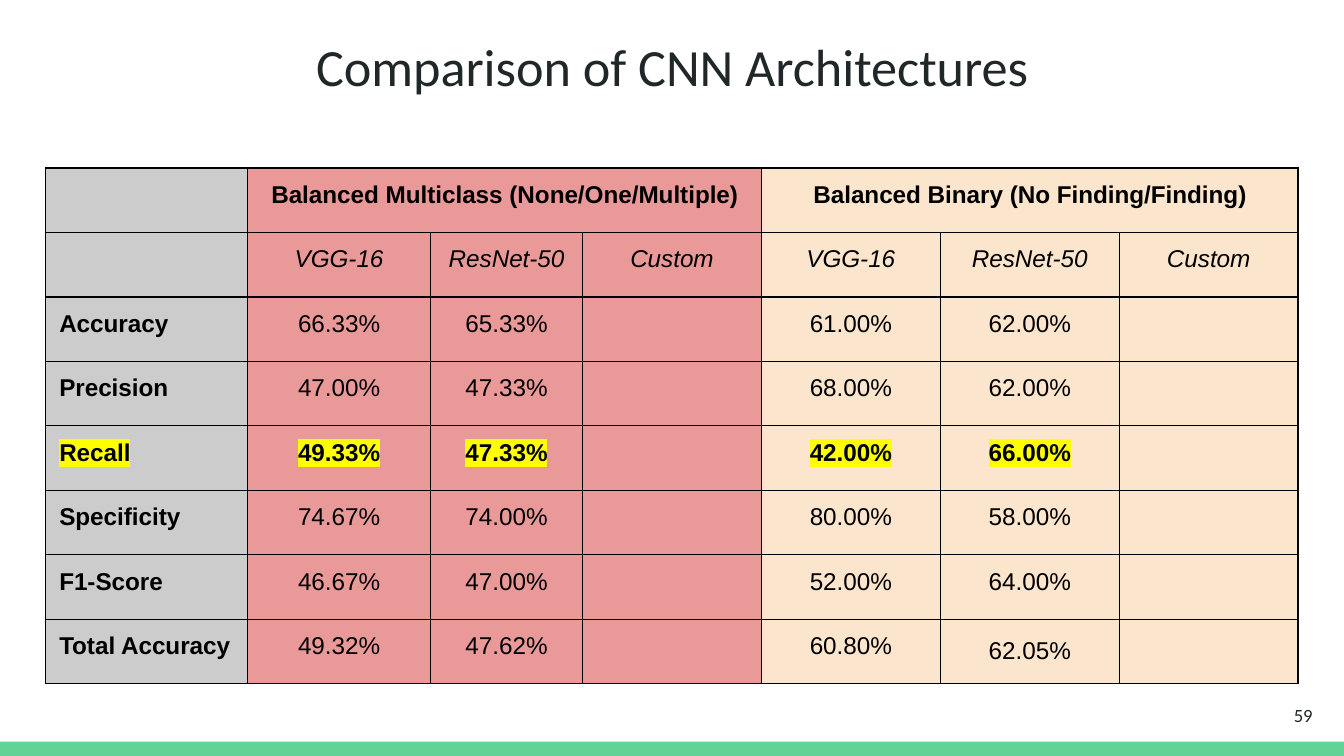
from lxml import etree
from pptx import Presentation
from pptx.dml.color import RGBColor
from pptx.enum.shapes import MSO_SHAPE
from pptx.enum.text import MSO_ANCHOR, PP_ALIGN
from pptx.oxml.ns import qn
from pptx.util import Inches, Pt

RECTANGLE = MSO_SHAPE.RECTANGLE
TOP, MIDDLE = MSO_ANCHOR.TOP, MSO_ANCHOR.MIDDLE
LEFT, CENTER, RIGHT = PP_ALIGN.LEFT, PP_ALIGN.CENTER, PP_ALIGN.RIGHT

COLORS = {
    "ink": "202729",
    "black": "000000",
    "band": "63D297",
    "label": "CCCCCC",
    "multiclass": "EA9999",
    "binary": "FCE5CD",
    "marker": "FFFF00",
}
WIDTH = 10
HEIGHT = WIDTH * 9 / 16
PADDING = 0.1
COLUMNS = [1.5, 1.36, 1.13] + [1.33] * 4
GROUP_SIZE = 3
FILLS = ["label"] + ["multiclass"] * GROUP_SIZE + ["binary"] * GROUP_SIZE
MODELS = ["VGG-16", "ResNet-50", "Custom"]
KEY_METRIC = "Recall"
ROWS = [
    ["", "Balanced Multiclass (None/One/Multiple)", "", "",
     "Balanced Binary (No Finding/Finding)", "", ""],
    [""] + MODELS * 2,
    ["Accuracy", "66.33%", "65.33%", "", "61.00%", "62.00%", ""],
    ["Precision", "47.00%", "47.33%", "", "68.00%", "62.00%", ""],
    [KEY_METRIC, "49.33%", "47.33%", "", "42.00%", "66.00%", ""],
    ["Specificity", "74.67%", "74.00%", "", "80.00%", "58.00%", ""],
    ["F1-Score", "46.67%", "47.00%", "", "52.00%", "64.00%", ""],
    ["Total Accuracy", "49.32%", "47.62%", "", "60.80%", "62.05%", ""],
]
MIDDLE_CELLS = {(7, 5)}


def color(name):
    return RGBColor.from_string(COLORS[name])


def percent(left, top, width, height):
    return [Inches(part / 100) for part in
            (left * WIDTH, top * HEIGHT, width * WIDTH, height * HEIGHT)]


def pad(target):
    for side in ("left", "top", "right", "bottom"):
        setattr(target, f"margin_{side}", Inches(PADDING))


def write(frame, text, align, ink, formats):
    para = frame.paragraphs[0]
    para.alignment = align
    span = para.add_run()
    span.text = text
    for name, value in formats.items():
        setattr(span.font, name, value)
    span.font.color.rgb = color(ink)
    return span


def highlight(span):
    marker = etree.Element(qn("a:highlight"))
    etree.SubElement(marker, qn("a:srgbClr"), val=COLORS["marker"])
    span.font.fill._xPr.find(qn("a:solidFill")).addnext(marker)


def outline(cell):
    properties = cell._tc.get_or_add_tcPr()
    for position, side in enumerate(("lnL", "lnR", "lnT", "lnB")):
        line = etree.Element(qn(f"a:{side}"), w=str(Pt(0.75)))
        fill = etree.SubElement(line, qn("a:solidFill"))
        etree.SubElement(fill, qn("a:srgbClr"), val=COLORS["black"])
        properties.insert(position, line)


def add_band(page, area):
    band = page.shapes.add_shape(RECTANGLE, *area)
    band.shadow.inherit = False
    band.fill.solid()
    band.fill.fore_color.rgb = color("band")
    band.line.fill.background()


def add_text(page, area, text, size, align, anchor):
    box = page.shapes.add_textbox(*area)
    frame = box.text_frame
    frame.word_wrap = True
    frame.vertical_anchor = anchor
    pad(frame)
    write(frame, text, align, "ink", {"name": "Calibri", "size": Pt(size)})


def fill_cell(cell, row, column, text):
    cell.fill.solid()
    cell.fill.fore_color.rgb = color(FILLS[column])
    outline(cell)
    if not text:
        return
    pad(cell)
    cell.vertical_anchor = MIDDLE if (row, column) in MIDDLE_CELLS else TOP
    key_row = ROWS[row][0] == KEY_METRIC
    span = write(cell.text_frame, text, CENTER if column else LEFT, "black", {
        "name": "Arial",
        "size": Pt(13),
        "bold": row == 0 or column == 0 or key_row,
        "italic": row == 1,
    })
    if key_row:
        highlight(span)


def add_comparison(page, area):
    table = page.shapes.add_table(len(ROWS), len(COLUMNS), *area).table
    table.first_row = False
    table.horz_banding = False
    for column, width in zip(table.columns, COLUMNS):
        column.width = int(area[2] * width / sum(COLUMNS))
    for row in table.rows:
        row.height = int(area[3] / len(ROWS))
    for first in range(1, len(COLUMNS), GROUP_SIZE):
        table.cell(0, first).merge(table.cell(0, first + GROUP_SIZE - 1))
    for row, texts in enumerate(ROWS):
        for column, text in enumerate(texts):
            fill_cell(table.cell(row, column), row, column, text)


def main():
    deck = Presentation()
    deck.slide_width, deck.slide_height = Inches(WIDTH), Inches(HEIGHT)
    page = deck.slides.add_slide(deck.slide_layouts[6])
    add_band(page, percent(0, 98.1, 100, 1.9))
    add_text(page, percent(3.4, 2.7, 93.2, 11.2),
             "Comparison of CNN Architectures", 28, CENTER, TOP)
    add_text(page, percent(92.65, 90.7, 6, 7.65), "59", 10, RIGHT, MIDDLE)
    add_comparison(page, percent(3.41, 22.23, 93.18, 68.25))
    deck.save("out.pptx")


if __name__ == "__main__":
    main()
